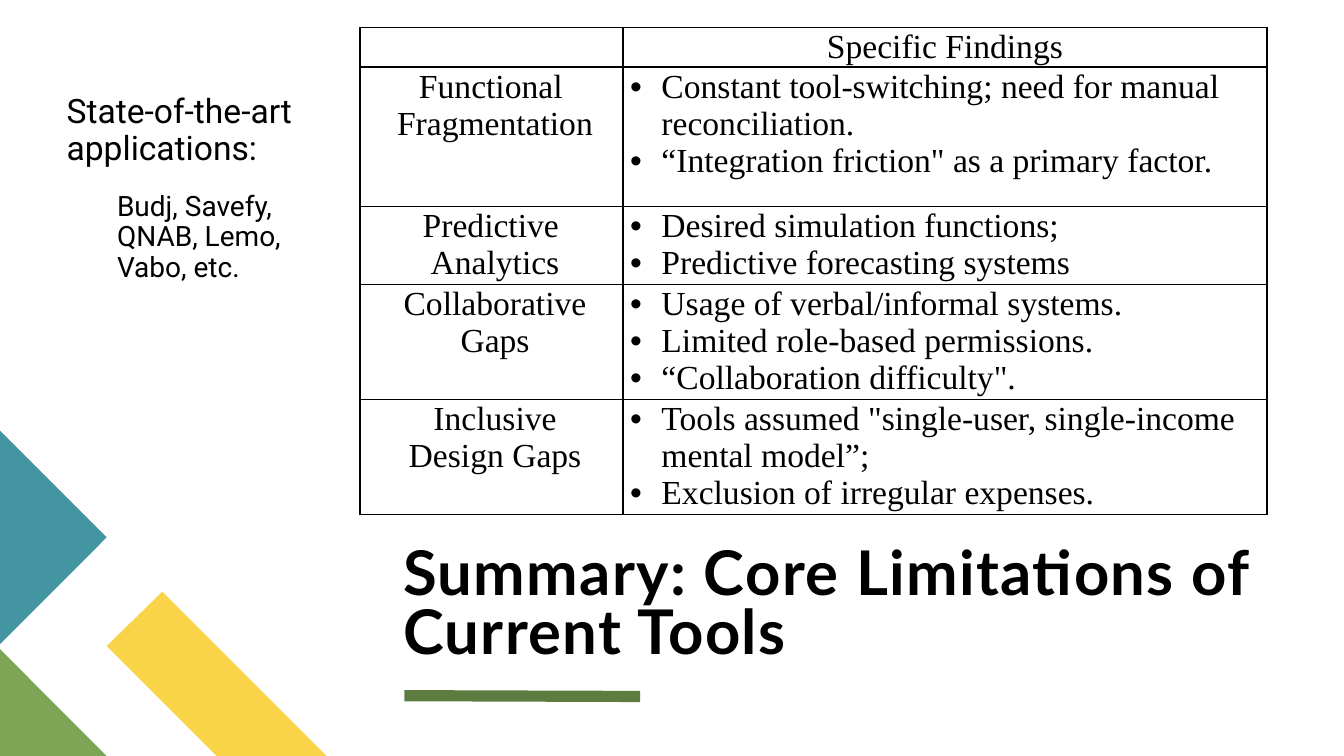
from lxml import etree
from pptx import Presentation
from pptx.dml.color import RGBColor
from pptx.enum.shapes import MSO_CONNECTOR
from pptx.enum.text import MSO_ANCHOR, PP_ALIGN
from pptx.oxml.ns import qn
from pptx.util import Cm, Pt

STRAIGHT = MSO_CONNECTOR.STRAIGHT
TOP, BOTTOM = MSO_ANCHOR.TOP, MSO_ANCHOR.BOTTOM
LEFT, CENTER = PP_ALIGN.LEFT, PP_ALIGN.CENTER

COLORS = {
    "text": "000000",
    "yellow": "F9D448",
    "green": "7CA655",
    "teal": "4495A2",
    "rule": "5D7D40",
}
TABLE_FONT = "Times New Roman"
TABLE_LINE_SPACING = Pt(26.5)
COLUMN_WIDTHS = [6.63, 16.23]
ROW_HEIGHTS = [0.99, 3.51, 1.96, 2.9, 2.9]
FINDINGS = [
    (["Functional ", "Fragmentation"],
     ["Constant tool-switching; need for manual reconciliation.",
      "“Integration friction\" as a primary factor."]),
    (["Predictive ", "Analytics"],
     ["Desired simulation functions;", "Predictive forecasting systems"]),
    (["Collaborative Gaps"],
     ["Usage of verbal/informal systems.",
      "Limited role-based permissions.",
      "“Collaboration difficulty\"."]),
    (["Inclusive Design Gaps"],
     ["Tools assumed \"single-user, single-income mental model”;",
      "Exclusion of irregular expenses."]),
]
CORNER_SHAPES = [
    ("yellow", [(8.23, 19.05), (5.46, 19.05), (2.69, 16.28), (4.09, 14.91)]),
    ("green", [(2.69, 19.05), (0, 19.05), (0, 16.36)]),
    ("teal", [(0, 10.85), (2.69, 13.54), (0, 16.23)]),
]


def rgb(name):
    return RGBColor.from_string(COLORS[name])


def write_paragraph(text_frame, text, font=TABLE_FONT, size=24, bold=False, align=LEFT,
                    margin=0, indent=0, bullet=None, line_spacing=TABLE_LINE_SPACING,
                    space_before=0, tracking=0):
    """Fill the frame's first paragraph, or append one if it already has text."""
    paragraph = text_frame.paragraphs[0]
    if paragraph.runs:
        paragraph = text_frame.add_paragraph()
    paragraph.alignment = align
    paragraph.space_before = Pt(space_before)
    paragraph.line_spacing = line_spacing
    properties = paragraph._p.get_or_add_pPr()
    properties.set("marL", str(Cm(margin)))
    properties.set("indent", str(Cm(indent)))
    if bullet:
        etree.SubElement(properties, qn("a:buFont"), typeface="Arial")
        etree.SubElement(properties, qn("a:buChar"), char=bullet)
    run = paragraph.add_run()
    run.text = text
    run.font.name = font
    run.font.size = Pt(size)
    run.font.bold = bold
    run.font.color.rgb = rgb("text")
    if tracking:
        run._r.get_or_add_rPr().set("spc", str(tracking * 100))


def add_text_frame(slide, left, top, width, height, insets=(0, 0, 0, 0), anchor=TOP):
    box = slide.shapes.add_textbox(Cm(left), Cm(top), Cm(width), Cm(height))
    text_frame = box.text_frame
    text_frame.word_wrap = True
    text_frame.vertical_anchor = anchor
    (text_frame.margin_left, text_frame.margin_top,
     text_frame.margin_right, text_frame.margin_bottom) = map(Cm, insets)
    return text_frame


def add_polygon(slide, color, points):
    start, *others = [(Cm(x), Cm(y)) for x, y in points]
    builder = slide.shapes.build_freeform(*start)
    builder.add_line_segments(others, close=True)
    shape = builder.convert_to_shape()
    shape.shadow.inherit = False
    shape.fill.solid()
    shape.fill.fore_color.rgb = rgb(color)
    shape.line.fill.background()


def add_rule(slide, start, end, color, width):
    connector = slide.shapes.add_connector(STRAIGHT, *map(Cm, start + end))
    connector.line.color.rgb = rgb(color)
    connector.line.width = Pt(width)
    etree.SubElement(connector._element.spPr, qn("a:effectLst"))


def format_cell(cell):
    """Clear the fill, tighten the margins and draw a thin border all round."""
    cell.margin_left = cell.margin_right = Cm(0.18)
    cell.margin_top = Cm(0.03)
    cell.margin_bottom = 0
    properties = cell._tc.get_or_add_tcPr()
    for side in ("lnL", "lnR", "lnT", "lnB"):
        border = etree.SubElement(properties, qn(f"a:{side}"), w=str(Pt(1)))
        fill = etree.SubElement(border, qn("a:solidFill"))
        etree.SubElement(fill, qn("a:srgbClr"), val=COLORS["text"])
    cell.fill.background()


def add_findings_table(slide, left, top):
    frame = slide.shapes.add_table(
        len(ROW_HEIGHTS), len(COLUMN_WIDTHS), Cm(left), Cm(top),
        Cm(sum(COLUMN_WIDTHS)), Cm(sum(ROW_HEIGHTS)))
    table = frame.table
    table.first_row = table.horz_banding = False
    for column, width in zip(table.columns, COLUMN_WIDTHS):
        column.width = Cm(width)
    for row, height in zip(table.rows, ROW_HEIGHTS):
        row.height = Cm(height)
    for cell in table.iter_cells():
        format_cell(cell)
    write_paragraph(table.cell(0, 1).text_frame, "Specific Findings", align=CENTER)
    for row_index, (area, findings) in enumerate(FINDINGS, start=1):
        area_cell = table.cell(row_index, 0)
        area_cell.margin_right = Cm(0.4)
        for line in area:
            write_paragraph(area_cell.text_frame, line, align=CENTER, margin=0.4)
        for finding in findings:
            write_paragraph(table.cell(row_index, 1).text_frame, finding,
                            margin=0.79, indent=-0.79, bullet="•")


def main():
    presentation = Presentation()
    presentation.slide_width = Cm(33.87)
    presentation.slide_height = Cm(19.05)
    slide = presentation.slides.add_slide(presentation.slide_layouts[6])

    for color, points in CORNER_SHAPES:
        add_polygon(slide, color, points)
    add_rule(slide, (10.19, 17.53), (16.13, 17.55), "rule", 8)

    title = add_text_frame(slide, 10.16, 12.95, 22.05, 3.84, anchor=BOTTOM)
    write_paragraph(title, "Summary: Core Limitations of Current Tools", font="Lato",
                    size=44, bold=True, line_spacing=0.8, tracking=1)

    applications = add_text_frame(slide, 1.68, 1.63, 7.2, 11.1,
                                  insets=(0, 0.76, 0.25, 0.13))
    write_paragraph(applications, "State-of-the-art applications:", font="Roboto",
                    line_spacing=0.9)
    write_paragraph(applications, "Budj, Savefy, QNAB, Lemo, Vabo, etc.", font="Roboto",
                    size=20, margin=1.27, line_spacing=0.9, space_before=18)

    add_findings_table(slide, 9.07, 0.7)
    presentation.save("out.pptx")


if __name__ == "__main__":
    main()
